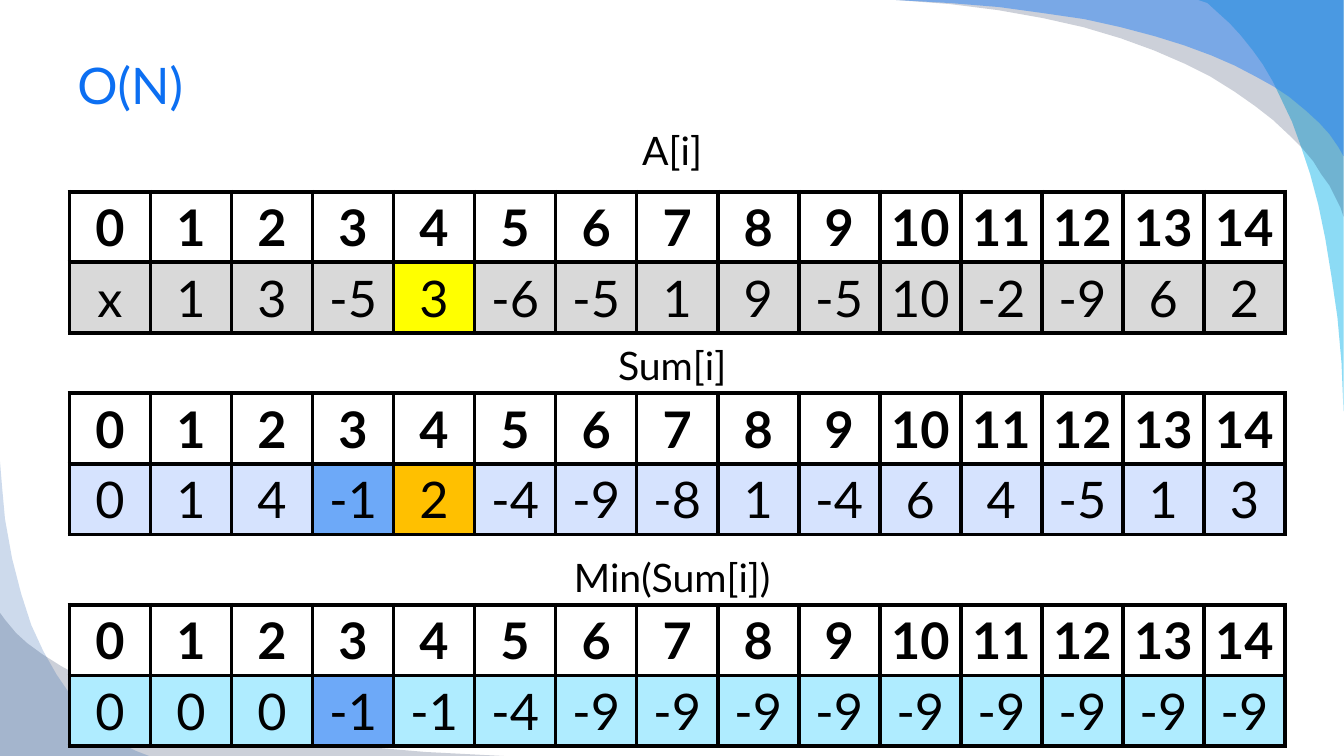
from lxml import etree
from pptx import Presentation
from pptx.dml.color import RGBColor
from pptx.enum.text import MSO_ANCHOR, PP_ALIGN
from pptx.oxml.ns import qn
from pptx.util import Cm, Pt

LEFT, CENTER = PP_ALIGN.LEFT, PP_ALIGN.CENTER
TOP, MIDDLE = MSO_ANCHOR.TOP, MSO_ANCHOR.MIDDLE

BLACK = RGBColor(0x00, 0x00, 0x00)
WHITE = RGBColor(0xFF, 0xFF, 0xFF)
TITLE_BLUE = RGBColor(0x0C, 0x6F, 0xF2)
CYAN = RGBColor(0x00, 0xB1, 0xE9)
NAVY = RGBColor(0x02, 0x17, 0x41)
WAVE_BLUE = RGBColor(0x24, 0x7F, 0xF4)
DEEP_BLUE = RGBColor(0x08, 0x4A, 0xA1)
GREY = RGBColor(0xD9, 0xD9, 0xD9)
PALE_BLUE = RGBColor(0xD6, 0xE3, 0xFE)
PALE_CYAN = RGBColor(0xAF, 0xEC, 0xFF)
MID_BLUE = RGBColor(0x6D, 0xA9, 0xF8)
YELLOW = RGBColor(0xFF, 0xFF, 0x00)
ORANGE = RGBColor(0xFF, 0xC0, 0x00)

FONT = "Lato"
WAVE_UNIT = Cm(2.54) / 100

# Colour, opacity in percent, outline in wave units
WAVES = [
    (CYAN, 45, [
        (1333, 408), (1333, 0), (1189, 0), (1198, 3), (1210, 14), (1220, 23),
        (1231, 35), (1243, 50), (1253, 64), (1263, 81), (1272, 100),
        (1282, 121), (1291, 146), (1300, 173), (1308, 203), (1315, 237),
        (1321, 274), (1327, 315), (1331, 360)]),
    (NAVY, 20, [
        (889, 0), (1333, 0), (1333, 215), (1330, 206), (1325, 196),
        (1319, 184), (1311, 173), (1303, 160), (1292, 147), (1279, 134),
        (1263, 119), (1245, 105), (1225, 91), (1201, 76), (1175, 63),
        (1145, 50), (1112, 38), (1075, 27), (1035, 18), (990, 10), (942, 4)]),
    (WAVE_BLUE, 49, [
        (889, 0), (1333, 0), (1333, 155), (1328, 146), (1319, 133),
        (1309, 122), (1296, 110), (1279, 96), (1264, 86), (1246, 76),
        (1225, 65), (1202, 55), (1175, 45), (1146, 36), (1112, 27),
        (1076, 19), (1035, 13), (991, 7), (942, 3)]),
    (NAVY, 20, [
        (500, 750), (0, 750), (0, 608), (6, 616), (16, 628), (27, 638),
        (42, 649), (61, 661), (85, 674), (114, 687), (148, 699), (189, 711),
        (236, 722), (290, 732), (352, 740), (422, 746)]),
    (DEEP_BLUE, 20, [
        (0, 458), (0, 750), (148, 750), (135, 745), (121, 738), (107, 728),
        (95, 717), (82, 704), (69, 688), (56, 669), (43, 646), (31, 620),
        (21, 589), (12, 554), (5, 515), (2, 482)]),
]

# Caption, caption top, table top, values, row fill, highlighted columns
ARRAYS = [
    ("A[i]", 3.05, 4.83, "x 1 3 -5 3 -6 -5 1 9 -5 10 -2 -9 6 2",
     GREY, {4: YELLOW}),
    ("Sum[i]", 8.48, 9.91, "0 1 4 -1 2 -4 -9 -8 1 -4 6 4 -5 1 3",
     PALE_BLUE, {3: MID_BLUE, 4: ORANGE}),
    ("Min(Sum[i])", 13.82, 15.24,
     "0 0 0 -1 -1 -4 -9 -9 -9 -9 -9 -9 -9 -9 -9",
     PALE_CYAN, {3: MID_BLUE}),
]


def write(tf, text, size=36, color=BLACK, bold=False, align=CENTER):
    p = tf.paragraphs[0]
    p.alignment = align
    r = p.add_run()
    r.text = text
    r.font.name = FONT
    r.font.size = Pt(size)
    r.font.bold = bold
    r.font.color.rgb = color


def add_text(s, left, top, width, height, text, anchor=TOP, **fmt):
    tf = s.shapes.add_textbox(left, top, width, height).text_frame
    tf.word_wrap = True
    tf.vertical_anchor = anchor
    write(tf, text, **fmt)


def add_wave(s, color, opacity, points):
    builder = s.shapes.build_freeform(*points[0], scale=WAVE_UNIT)
    builder.add_line_segments(points[1:], close=True)
    sp = builder.convert_to_shape()
    sp.shadow.inherit = False
    sp.line.fill.background()
    sp.fill.solid()
    sp.fill.fore_color.rgb = color
    clr = sp.fill._xPr.find(".//" + qn("a:srgbClr"))
    etree.SubElement(clr, qn("a:alpha"), val=str(opacity * 1000))


def add_borders(cell, width=Pt(3)):
    tcPr = cell._tc.get_or_add_tcPr()
    for side in ("lnL", "lnR", "lnT", "lnB"):
        ln = etree.SubElement(tcPr, qn("a:" + side), w=str(width))
        fill = etree.SubElement(ln, qn("a:solidFill"))
        etree.SubElement(fill, qn("a:srgbClr"), val=str(BLACK))


def add_array_table(s, left, top, width, height, values, row_fill, highlights):
    """Draw a row of bold indices above a row of values."""
    rows = [[str(i) for i in range(len(values))], values]
    table = s.shapes.add_table(2, len(values), left, top, width, height).table
    for i, row in enumerate(rows):
        for j, text in enumerate(row):
            cell = table.cell(i, j)
            cell.vertical_anchor = MIDDLE
            add_borders(cell)
            cell.fill.solid()
            cell.fill.fore_color.rgb = highlights.get(j, row_fill) if i else WHITE
            write(cell.text_frame, text, bold=i == 0)


def main():
    prs = Presentation()
    prs.slide_width, prs.slide_height = Cm(33.87), Cm(19.05)
    s = prs.slides.add_slide(prs.slide_layouts[6])
    for wave in WAVES:
        add_wave(s, *wave)
    left, width = Cm(1.7), Cm(30.48)
    add_text(s, left, Cm(0.84), width, Cm(2.57), "O(N)", anchor=MIDDLE,
             color=TITLE_BLUE, align=LEFT)
    for caption, caption_top, table_top, values, row_fill, highlights in ARRAYS:
        add_text(s, left, Cm(caption_top), width, Cm(1.42), caption, size=28)
        add_array_table(s, Cm(1.75), Cm(table_top), Cm(30.63), Cm(3.56),
                        values.split(), row_fill, highlights)
    prs.save("out.pptx")


if __name__ == "__main__":
    main()
